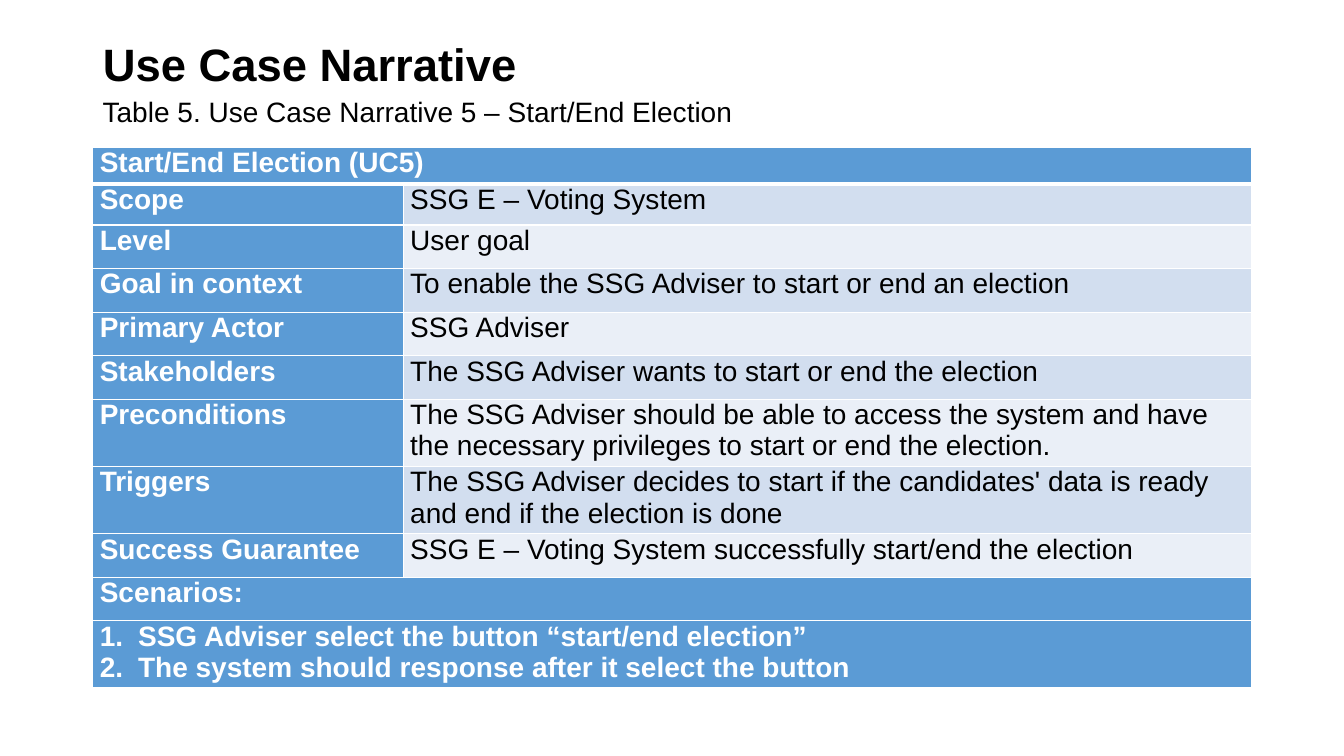
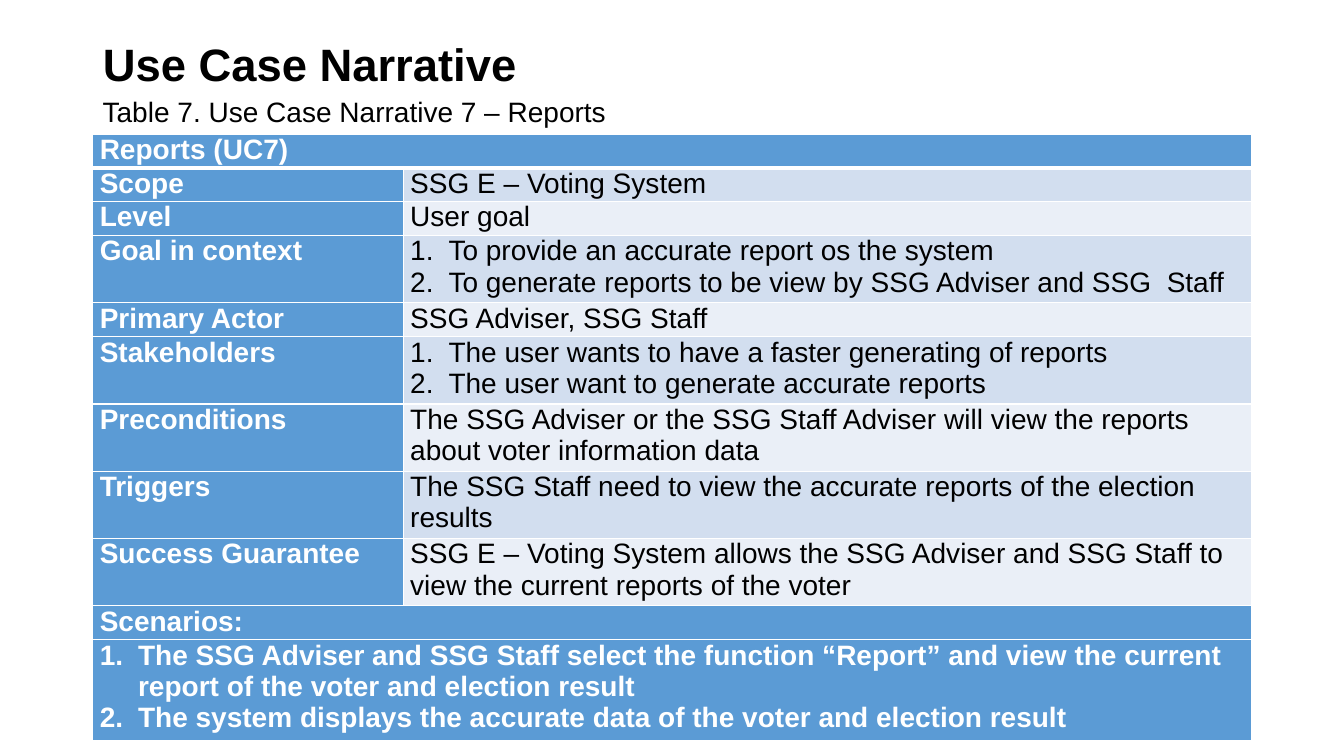
import dataclasses
import typing

import lxml.etree
import pptx
import pptx.dml.color
import pptx.enum.text
import pptx.oxml.ns
import pptx.util

RGB = pptx.dml.color.RGBColor
HEADING_BLUE = RGB(0x5B, 0x9B, 0xD5)
BAND_FILLS = (RGB(0xEA, 0xEF, 0xF7), RGB(0xD2, 0xDE, 0xEF))
WHITE = RGB(0xFF, 0xFF, 0xFF)
BLACK = RGB(0, 0, 0)

FONT = "Arial"
TITLE_SIZE, TEXT_SIZE = 32.4, 20
RULE, HEADER_RULE = 1, 3
LIST_INDENT = pptx.util.Inches(0.38)
CELL_INSET = pptx.util.Inches(0.07)

SLIDE_WIDTH = pptx.util.Inches(13.33)
SLIDE_HEIGHT = pptx.util.Inches(7.5)

# Percentages of the slide's width and height
LEFT, LABEL_WIDTH, DETAIL_WIDTH = 6.9, 23.1, 63.15
CONTENT_WIDTH = LABEL_WIDTH + DETAIL_WIDTH
TITLE_TOP, TITLE_HEIGHT = 5.33, 7.07
CAPTION_TOP, CAPTION_HEIGHT = TITLE_TOP + TITLE_HEIGHT, 77.73

LABELS = ("Scope", "Level", "Goal in context", "Primary Actor", "Stakeholders",
          "Preconditions", "Triggers", "Success Guarantee")
SHARED_DETAILS = ("SSG E – Voting System", "User goal")

# A tuple of strings is a numbered list
Content = typing.Union[str, tuple[str, ...]]


@dataclasses.dataclass(frozen=True)
class UseCase:
    """One use case; table top and row heights are percentages of the height."""
    number: int
    name: str
    table_top: float
    row_heights: tuple[float, ...]
    details: tuple[Content, ...]
    scenarios: tuple[str, ...]


USE_CASES = (
    UseCase(
        5, "Start/End Election", 19.5,
        (4.8, 5.47, *[5.76] * 4, 8.6, 8.6, 5.76, 5.76, 8.6),
        (
            "To enable the SSG Adviser to start or end an election",
            "SSG Adviser",
            "The SSG Adviser wants to start or end the election",
            "The SSG Adviser should be able to access the system and have the "
            "necessary privileges to start or end the election.",
            "The SSG Adviser decides to start if the candidates' data is ready "
            "and end if the election is done",
            "SSG E – Voting System successfully start/end the election",
        ),
        (
            "SSG Adviser select the button “start/end election”",
            "The system should response after it select the button",
        ),
    ),
    UseCase(
        7, "Reports", 17.75,
        (4.25, 4.25, 4.5, 8.55, 4.5, *[8.55] * 4, 4.5, 12.8),
        (
            ("To provide an accurate report os the system",
             "To generate reports to be view by SSG Adviser and SSG  Staff"),
            "SSG Adviser, SSG Staff",
            ("The user wants to have a faster generating of reports",
             "The user want to generate accurate reports"),
            "The SSG Adviser or the SSG Staff Adviser will view the reports "
            "about voter information data",
            "The SSG Staff need to view the accurate reports of the election results",
            "SSG E – Voting System allows the SSG Adviser and SSG Staff to view "
            "the current reports of the voter",
        ),
        (
            "The SSG Adviser and SSG Staff select the function “Report” and view "
            "the current report of the voter and election result",
            "The system displays the accurate data of the voter and election result",
        ),
    ),
)


def across(percent: float) -> pptx.util.Emu:
    """Turn a percentage of the slide's width into a length."""
    return pptx.util.Emu(round(SLIDE_WIDTH * percent / 100))


def down(percent: float) -> pptx.util.Emu:
    """Turn a percentage of the slide's height into a length."""
    return pptx.util.Emu(round(SLIDE_HEIGHT * percent / 100))


def format_text(frame, size: float, color: RGB, bold: bool) -> None:
    """Left-align a text frame and give all its runs one style."""
    for paragraph in frame.paragraphs:
        paragraph.alignment = pptx.enum.text.PP_ALIGN.LEFT
        for run in paragraph.runs:
            run.font.name = FONT
            run.font.size = pptx.util.Pt(size)
            run.font.bold = bold
            run.font.color.rgb = color


def number_paragraphs(frame) -> None:
    """Number the paragraphs of a frame with a hanging indent."""
    for paragraph in frame.paragraphs:
        properties = paragraph._p.get_or_add_pPr()
        properties.set("marL", str(LIST_INDENT))
        properties.set("indent", str(-LIST_INDENT))
        numbering = lxml.etree.SubElement(
            properties, pptx.oxml.ns.qn("a:buAutoNum"))
        numbering.set("type", "arabicPeriod")


def border_cell(cell, top: float, bottom: float) -> None:
    """Draw white cell borders with the given top and bottom widths."""
    qn = pptx.oxml.ns.qn
    properties = cell._tc.get_or_add_tcPr()
    widths = {"a:lnL": RULE, "a:lnR": RULE, "a:lnT": top, "a:lnB": bottom}
    for position, (side, width) in enumerate(widths.items()):
        line = lxml.etree.Element(qn(side), w=str(pptx.util.Pt(width)))
        fill = lxml.etree.SubElement(line, qn("a:solidFill"))
        lxml.etree.SubElement(fill, qn("a:srgbClr"), val=str(WHITE))
        properties.insert(position, line)


def fill_cell(cell, content: Content, fill: RGB, heading: bool) -> None:
    """Write a cell's text, numbered if it is a list, and colour the cell."""
    numbered = isinstance(content, tuple)
    cell.text_frame.text = "\n".join(content) if numbered else content
    format_text(cell.text_frame, TEXT_SIZE, WHITE if heading else BLACK, heading)
    if numbered:
        number_paragraphs(cell.text_frame)
    cell.margin_left = cell.margin_right = CELL_INSET
    cell.margin_top = cell.margin_bottom = 0
    cell.fill.solid()
    cell.fill.fore_color.rgb = fill


def add_headings(slide, use_case: UseCase) -> None:
    """Set the slide title and the table caption below it."""
    title = slide.shapes.title
    title.left, title.top = across(LEFT), down(TITLE_TOP)
    title.width, title.height = across(CONTENT_WIDTH), down(TITLE_HEIGHT)
    title.text_frame.text = "Use Case Narrative"
    title.text_frame.auto_size = pptx.enum.text.MSO_AUTO_SIZE.NONE
    title.text_frame.vertical_anchor = pptx.enum.text.MSO_ANCHOR.MIDDLE
    format_text(title.text_frame, TITLE_SIZE, BLACK, True)

    caption = slide.shapes.add_textbox(
        across(LEFT), down(CAPTION_TOP), across(CONTENT_WIDTH), down(CAPTION_HEIGHT))
    caption.text_frame.word_wrap = True
    caption.text_frame.text = (f"Table {use_case.number}. Use Case Narrative "
                               f"{use_case.number} – {use_case.name}")
    format_text(caption.text_frame, TEXT_SIZE, BLACK, False)
    caption.text_frame.paragraphs[0].space_before = pptx.util.Pt(10)
    for frame in (title.text_frame, caption.text_frame):
        frame.paragraphs[0].line_spacing = 0.9


def add_narrative(slide, use_case: UseCase) -> None:
    """Add the narrative table: header, labelled details and scenarios."""
    narrative_rows: list[tuple[Content, ...]] = [
        (f"{use_case.name} (UC{use_case.number})",),
        *zip(LABELS, SHARED_DETAILS + use_case.details),
        ("Scenarios:",),
        (use_case.scenarios,),
    ]
    narrative = slide.shapes.add_table(
        len(narrative_rows), 2, across(LEFT), down(use_case.table_top),
        across(CONTENT_WIDTH), down(sum(use_case.row_heights))).table
    narrative.columns[0].width = across(LABEL_WIDTH)
    narrative.columns[1].width = across(DETAIL_WIDTH)

    for index, (contents, height) in enumerate(
            zip(narrative_rows, use_case.row_heights)):
        narrative.rows[index].height = down(height)
        label, detail = narrative.cell(index, 0), narrative.cell(index, 1)
        fill_cell(label, contents[0], HEADING_BLUE, True)
        if len(contents) == 1:
            label.merge(detail)
        else:
            fill_cell(detail, contents[1], BAND_FILLS[index % 2], False)
        for cell in (label, detail):
            border_cell(cell, HEADER_RULE if index == 1 else RULE,
                        HEADER_RULE if index == 0 else RULE)


def main() -> None:
    """Build one slide for each use case and save the presentation."""
    presentation = pptx.Presentation()
    presentation.slide_width = SLIDE_WIDTH
    presentation.slide_height = SLIDE_HEIGHT
    title_only = presentation.slide_layouts[5]
    for use_case in USE_CASES:
        slide = presentation.slides.add_slide(title_only)
        add_headings(slide, use_case)
        add_narrative(slide, use_case)
    presentation.save("out.pptx")


main()
